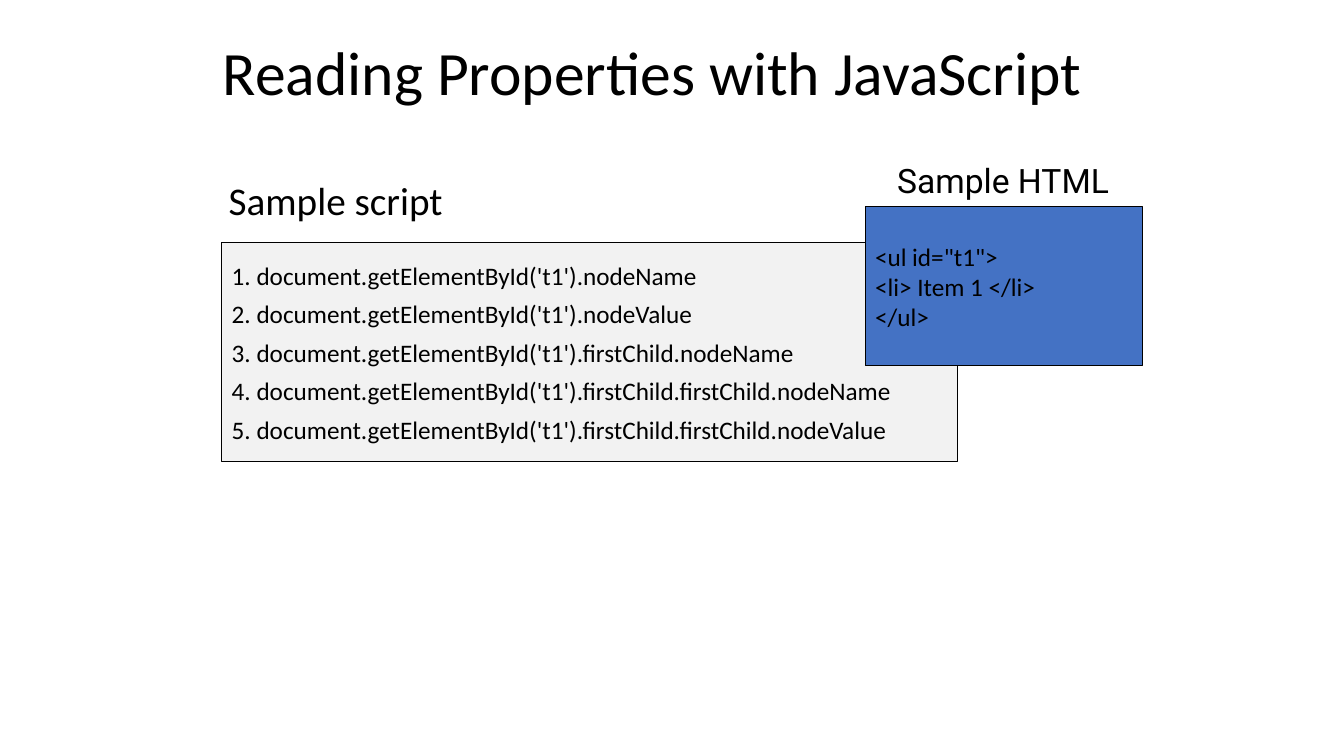
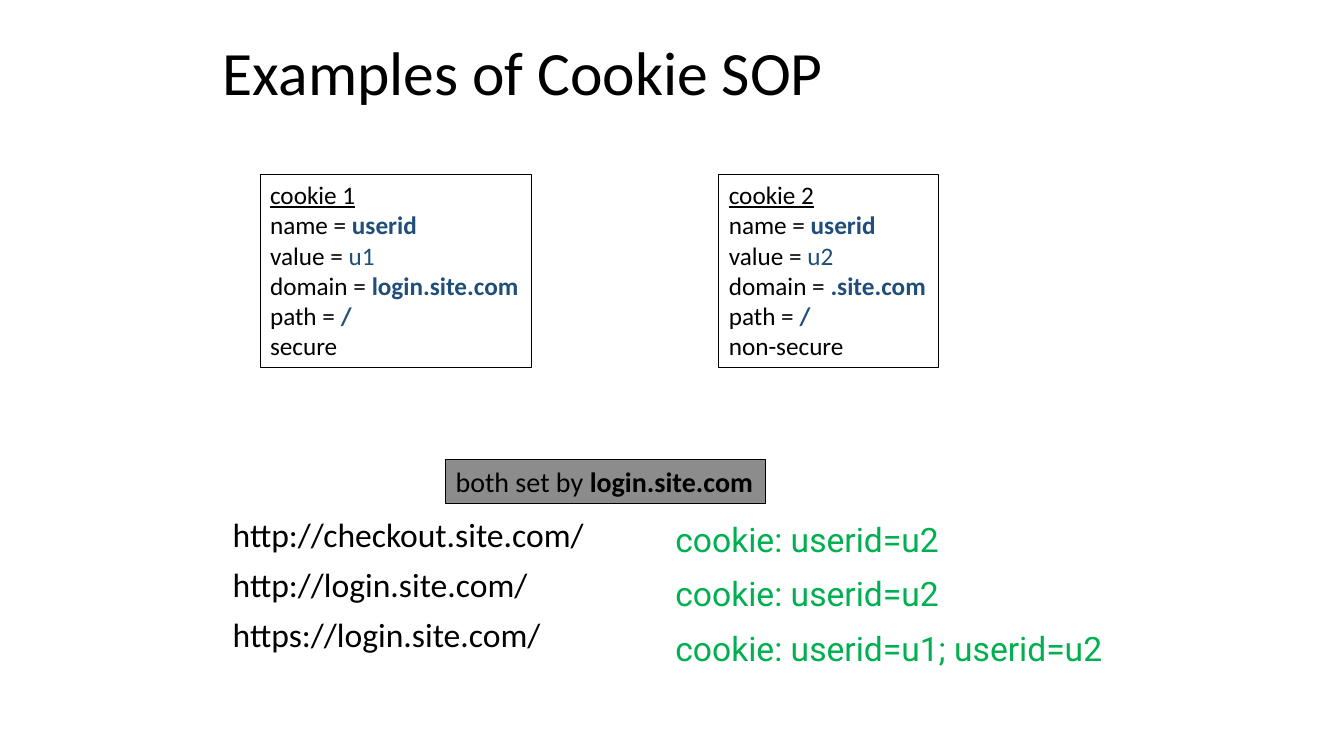
from pptx import Presentation
from pptx.dml.color import RGBColor
from pptx.enum.shapes import MSO_SHAPE as Shape
from pptx.enum.text import MSO_ANCHOR as Anchor, MSO_AUTO_SIZE as Auto, PP_ALIGN as Align
from pptx.util import Inches, Pt

# Shared style
BLACK, WHITE = "000000", "FFFFFF"
NAVY, GREEN = "1F4E79", "00B050"
BODY, ALT = "Calibri", "Roboto"


def rgb(code):
    return RGBColor.from_string(code)


def run(text, color=BLACK, bold=False, under=False):
    return dict(text=text, color=color, bold=bold, under=under)


def write(frame, lines, size, font=BODY, before=0, after=0, spacing=1.0):
    """Each line is a string or a list of runs."""
    for i, line in enumerate(lines):
        para = frame.paragraphs[0] if i == 0 else frame.add_paragraph()
        para.alignment = Align.LEFT
        para.line_spacing = spacing
        para.space_before = Pt(before if i else 0)
        para.space_after = Pt(after)
        for part in [run(line)] if isinstance(line, str) else line:
            piece = para.add_run()
            piece.text = part["text"]
            face = piece.font
            face.name, face.size = font, Pt(size)
            face.bold, face.underline = part["bold"], part["under"]
            face.color.rgb = rgb(part["color"])


def label(slide, spot, lines, size, **style):
    box = slide.shapes.add_textbox(*map(Inches, spot))
    frame = box.text_frame
    frame.word_wrap = True
    write(frame, lines, size, **style)


def panel(slide, spot, lines, size, fill=None, grow=False, **style):
    box = slide.shapes.add_shape(Shape.RECTANGLE, *map(Inches, spot))
    box.shadow.inherit = False
    if fill:
        box.fill.solid()
        box.fill.fore_color.rgb = rgb(fill)
    else:
        box.fill.background()
    box.line.color.rgb = rgb(BLACK)
    box.line.width = Pt(0.75)
    frame = box.text_frame
    frame.word_wrap = False
    frame.auto_size = Auto.SHAPE_TO_FIT_TEXT if grow else Auto.NONE
    frame.vertical_anchor = Anchor.TOP if grow else Anchor.MIDDLE
    write(frame, lines, size, **style)


def start(deck, title, width):
    """Add a slide with its title."""
    slide = deck.slides.add_slide(deck.slide_layouts[5])
    slide.background.fill.solid()
    slide.background.fill.fore_color.rgb = rgb(WHITE)
    head = slide.shapes.title
    head.left, head.top, head.width, head.height = map(Inches, (2.11, 0.25, width, 1))
    frame = head.text_frame
    frame.auto_size = Auto.NONE
    frame.vertical_anchor = Anchor.MIDDLE
    write(frame, [title], 44, spacing=0.9)
    return slide


def cookie(slide, left, width, number, domain, mode):
    pairs = [("name", "userid", True), ("value", f"u{number}", False),
             ("domain", domain, True), ("path", "/", True)]
    lines = [[run(f"cookie {number}", under=True)]]
    lines += [[run(f"{key} = "), run(value, NAVY, bold)] for key, value, bold in pairs]
    panel(slide, (left, 1.73, width, 1.92), lines + [mode], 18, grow=True)


def script_slide(deck):
    slide = start(deck, "Reading Properties with JavaScript", 8.81)
    label(slide, (2.17, 1.75, 6, 0.6), ["Sample script"], 28, spacing=0.9)
    reads = ["nodeName", "nodeValue", "firstChild.nodeName",
             "firstChild.firstChild.nodeName", "firstChild.firstChild.nodeValue"]
    lines = [f"{i}. document.getElementById('t1').{read}" for i, read in enumerate(reads, 1)]
    panel(slide, (2.2, 2.41, 7.3, 2.17), lines, 18, fill="F2F2F2", before=3, after=3)
    panel(slide, (8.58, 2.05, 2.75, 1.58),
          ['<ul id="t1">', "<li> Item 1 </li>", "</ul>"], 18, fill="4472C4")
    label(slide, (8.8, 1.58, 2.44, 0.47), ["Sample HTML"], 24, font=ALT, spacing=0.9)


def cookie_slide(deck):
    slide = start(deck, "Examples of Cookie SOP", 9.27)
    cookie(slide, 2.58, 2.69, 1, "login.site.com", "secure")
    cookie(slide, 7.13, 2.18, 2, ".site.com", "non-secure")
    panel(slide, (4.42, 4.56, 3.17, 0.44),
          [[run("both set by "), run("login.site.com", bold=True)]], 20,
          fill="8C8C8C", grow=True)

    # Requests and the cookies sent with them
    label(slide, (2.21, 5.09, 4.17, 1.83),
          ["http://checkout.site.com/", "http://login.site.com/", "https://login.site.com/"],
          24, before=10, spacing=0.9)
    sent = ["userid=u2", "userid=u2", "userid=u1; userid=u2"]
    lines = [[run(f"cookie: {ids}", GREEN)] for ids in sent]
    label(slide, (6.6, 5.1, 4.78, 1.59), lines, 24, font=ALT, before=10)


def main():
    deck = Presentation()
    deck.slide_width, deck.slide_height = Inches(13.33), Inches(7.5)
    script_slide(deck)
    cookie_slide(deck)
    deck.save("out.pptx")


if __name__ == "__main__":
    main()
